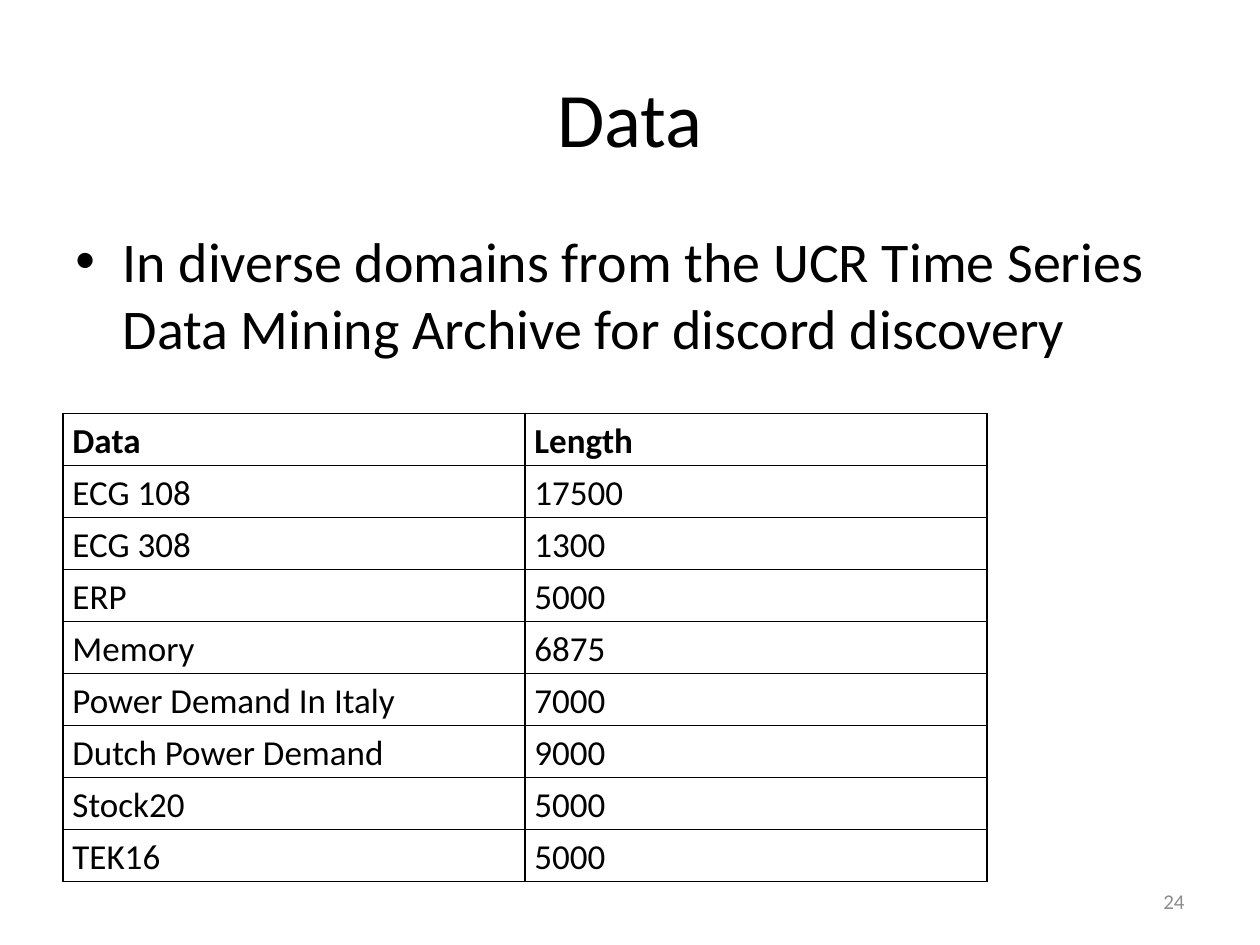
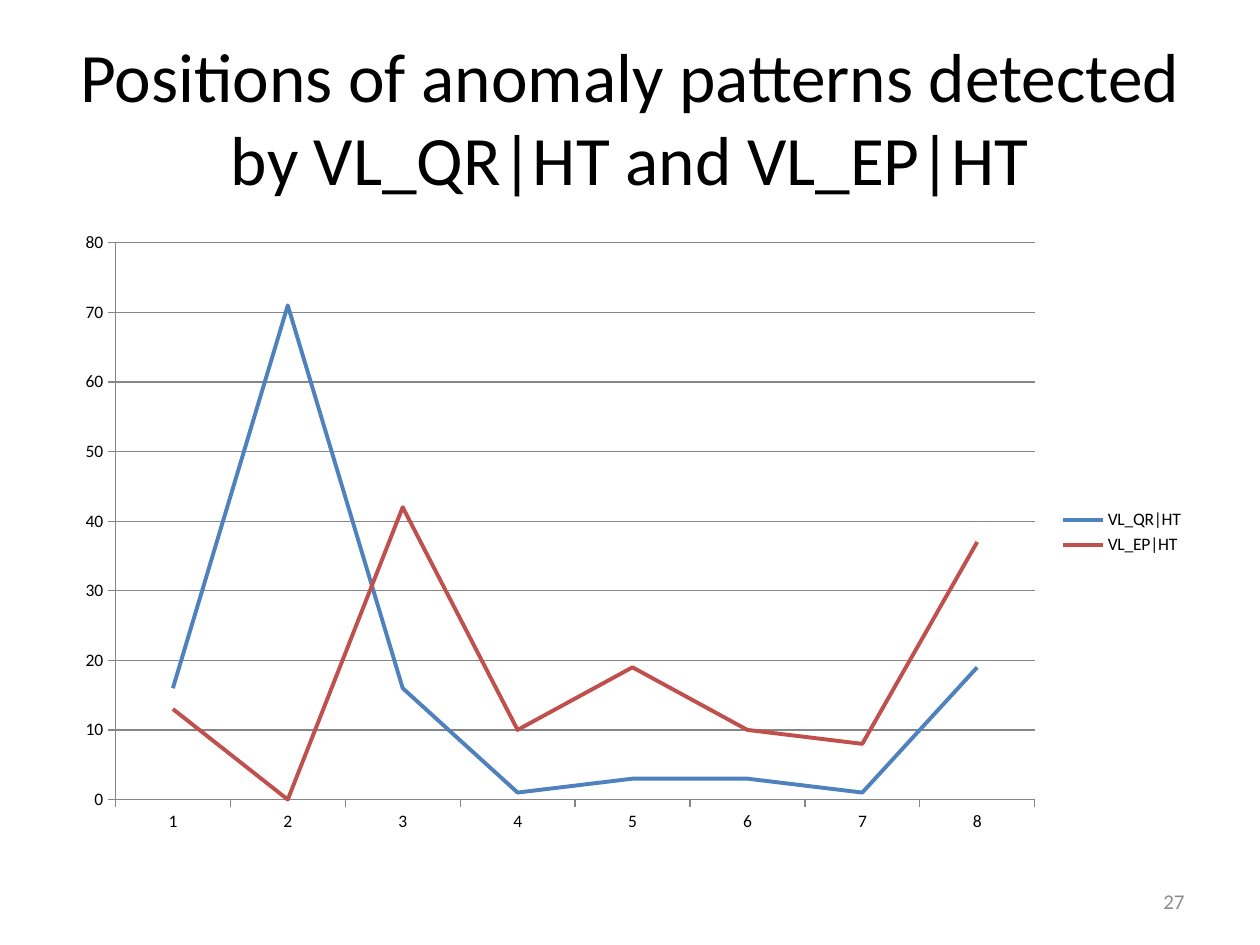
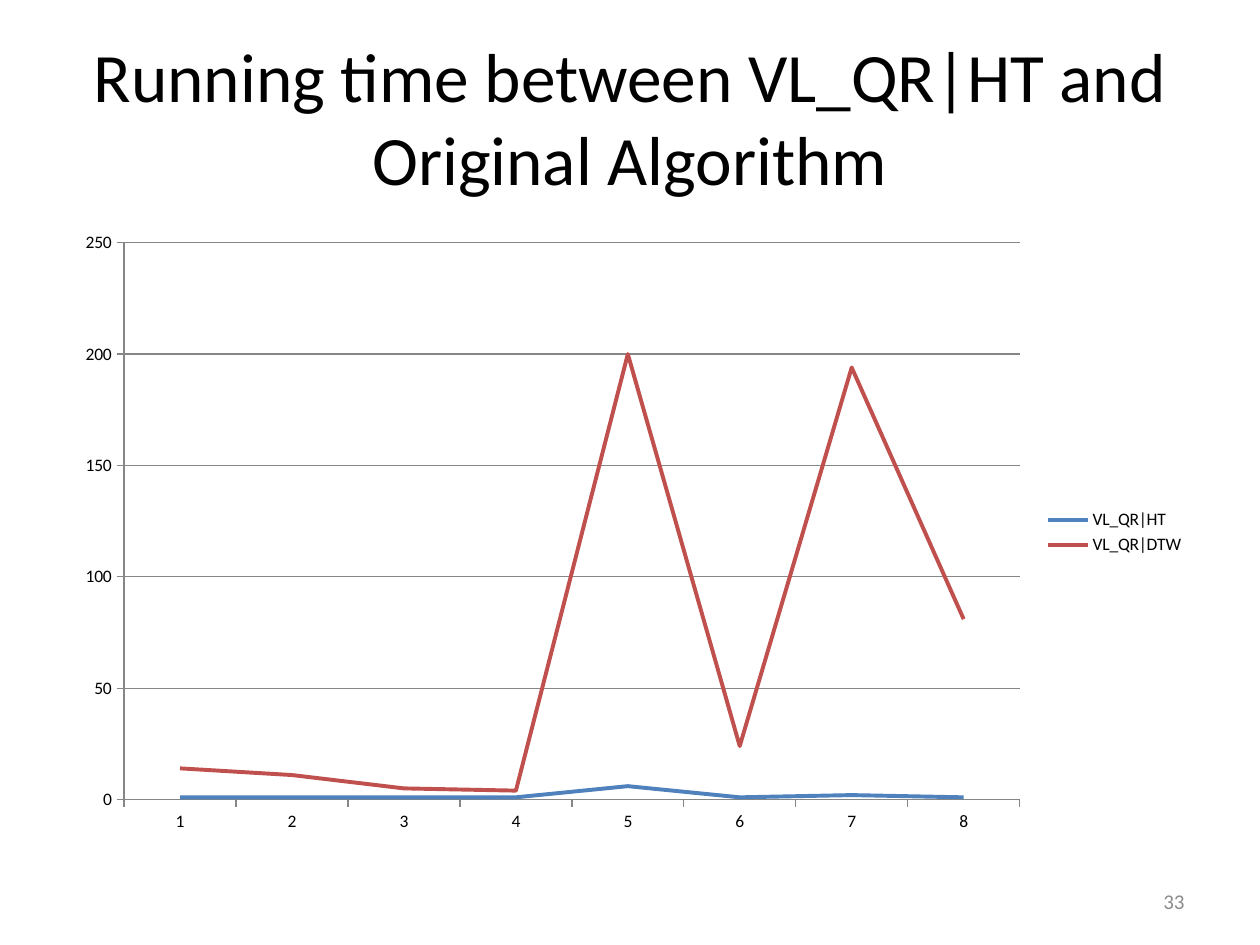
from lxml.etree import SubElement
from pptx import Presentation
from pptx.chart.data import CategoryChartData
from pptx.dml.color import RGBColor
from pptx.enum.chart import XL_CHART_TYPE, XL_LEGEND_POSITION, XL_TICK_MARK
from pptx.enum.text import MSO_ANCHOR, MSO_AUTO_SIZE, PP_ALIGN
from pptx.oxml import parse_xml
from pptx.oxml.ns import nsdecls, qn
from pptx.util import Pt

# Content
DATA_SLIDE = {
    "title": "Data",
    "number": 24,
    "bullet": "In diverse domains from the UCR Time Series Data Mining Archive for discord discovery",
    "rows": [
        ("Data", "Length"),
        ("ECG 108", "17500"),
        ("ECG 308", "1300"),
        ("ERP", "5000"),
        ("Memory", "6875"),
        ("Power Demand In Italy", "7000"),
        ("Dutch Power Demand", "9000"),
        ("Stock20", "5000"),
        ("TEK16", "5000"),
    ],
}
CHART_SLIDES = [
    {
        "title": "Positions of anomaly patterns detected by VL_QR|HT and VL_EP|HT",
        "number": 27,
        "series": {
            "VL_QR|HT": (16, 71, 16, 1, 3, 3, 1, 19),
            "VL_EP|HT": (13, 0, 42, 10, 19, 10, 8, 37),
        },
        "axis_max": 80,
        "axis_step": 10,
    },
    {
        "title": "Running time between VL_QR|HT and Original Algorithm",
        "number": 33,
        "series": {
            "VL_QR|HT": (1, 1, 1, 1, 6, 1, 2, 1),
            "VL_QR|DTW": (14, 11, 5, 4, 200, 24, 194, 81),
        },
        "axis_max": 250,
        "axis_step": 50,
    },
]
CATEGORIES = [str(number) for number in range(1, 9)]

# Shared style, lengths in points
FONT = "Calibri"
BLACK, GRAY, AXIS_GRAY = "000000", "8C8C8C", "868686"
SERIES_COLORS = ("4F81BD", "C0504D")
TITLE_BOX = (36, 21.6, 648, 90)
BODY_BOX = (36, 126, 648, 356.4)
NUMBER_BOX = (516, 500.5, 168, 28.75)
TABLE_LEFT, TABLE_TOP, COLUMN_WIDTH, ROW_HEIGHT = 36, 236.2, 264, 29.76
BULLET_INDENT = 27


def color(hex_string):
    return RGBColor.from_string(hex_string)


def box(values):
    return [Pt(value) for value in values]


def style_font(font, size, hex_string=BLACK, bold=False):
    font.name, font.size, font.bold = FONT, Pt(size), bold
    font.color.rgb = color(hex_string)


def write(paragraph, text, size, hex_string=BLACK, bold=False):
    run = paragraph.add_run()
    run.text = text
    style_font(run.font, size, hex_string, bold)


def add_text_box(slide, position, anchor):
    frame = slide.shapes.add_textbox(*box(position)).text_frame
    frame.word_wrap = True
    frame.vertical_anchor = anchor
    return frame.paragraphs[0]


def add_slide(presentation, title_text, title_size, number):
    slide = presentation.slides.add_slide(presentation.slide_layouts[5])
    title = slide.shapes.title
    title.left, title.top, title.width, title.height = box(TITLE_BOX)
    title.text_frame.auto_size = MSO_AUTO_SIZE.NONE
    title.text_frame.vertical_anchor = MSO_ANCHOR.MIDDLE
    paragraph = title.text_frame.paragraphs[0]
    paragraph.alignment = PP_ALIGN.CENTER
    write(paragraph, title_text, title_size)

    paragraph = add_text_box(slide, NUMBER_BOX, MSO_ANCHOR.MIDDLE)
    paragraph.alignment = PP_ALIGN.RIGHT
    write(paragraph, str(number), 12, GRAY)
    return slide


def add_bullet(slide, text):
    paragraph = add_text_box(slide, BODY_BOX, MSO_ANCHOR.TOP)
    paragraph.space_before = Pt(6.4)
    write(paragraph, text, 32)
    properties = paragraph._p.get_or_add_pPr()
    properties.set("marL", str(Pt(BULLET_INDENT)))
    properties.set("indent", str(-Pt(BULLET_INDENT)))
    SubElement(properties, qn("a:buFont"), typeface="Arial")
    SubElement(properties, qn("a:buChar"), char="•")


def add_borders(cell):
    properties = cell._tc.get_or_add_tcPr()
    for index, side in enumerate("LRTB"):
        properties.insert(index, parse_xml(
            f'<a:ln{side} {nsdecls("a")} w="{Pt(1)}"><a:solidFill>'
            f'<a:srgbClr val="{BLACK}"/></a:solidFill></a:ln{side}>'))


def add_data_table(slide, rows):
    column_count = len(rows[0])
    table = slide.shapes.add_table(
        len(rows), column_count, Pt(TABLE_LEFT), Pt(TABLE_TOP),
        Pt(COLUMN_WIDTH * column_count), Pt(ROW_HEIGHT * len(rows))).table
    table.first_row = table.horz_banding = False
    for row_index, row in enumerate(rows):
        table.rows[row_index].height = Pt(ROW_HEIGHT)
        for column_index, text in enumerate(row):
            cell = table.cell(row_index, column_index)
            cell.margin_left = cell.margin_right = Pt(5.4)
            cell.margin_top = cell.margin_bottom = 0
            cell.fill.background()
            add_borders(cell)
            paragraph = cell.text_frame.paragraphs[0]
            paragraph.line_spacing = 1.15
            write(paragraph, text, 20, bold=row_index == 0)


def add_line_chart(slide, content):
    data = CategoryChartData()
    data.categories = CATEGORIES
    for name, values in content["series"].items():
        data.add_series(name, values)
    chart = slide.shapes.add_chart(XL_CHART_TYPE.LINE, *box(BODY_BOX), data).chart
    style_font(chart.font, 10)
    chart.has_title = False
    chart.has_legend = True
    chart.legend.position = XL_LEGEND_POSITION.RIGHT
    chart.legend.include_in_layout = False
    chart.plots[0].vary_by_categories = False
    for series, hex_string in zip(chart.plots[0].series, SERIES_COLORS):
        series.smooth = False
        series.format.line.width = Pt(2.25)
        series.format.line.color.rgb = color(hex_string)

    value_axis = chart.value_axis
    value_axis.minimum_scale = 0
    value_axis.maximum_scale = content["axis_max"]
    value_axis.major_unit = content["axis_step"]
    value_axis.has_major_gridlines = True
    for part in (chart.category_axis, value_axis, value_axis.major_gridlines):
        part.format.line.width = Pt(0.75)
        part.format.line.color.rgb = color(AXIS_GRAY)
    for axis in (chart.category_axis, value_axis):
        axis.major_tick_mark = XL_TICK_MARK.OUTSIDE
        axis.minor_tick_mark = XL_TICK_MARK.NONE


def main():
    presentation = Presentation()
    presentation.slide_width, presentation.slide_height = Pt(720), Pt(540)

    # Data sets
    slide = add_slide(presentation, DATA_SLIDE["title"], 44, DATA_SLIDE["number"])
    add_bullet(slide, DATA_SLIDE["bullet"])
    add_data_table(slide, DATA_SLIDE["rows"])

    # Results
    for content in CHART_SLIDES:
        slide = add_slide(presentation, content["title"], 39.6, content["number"])
        add_line_chart(slide, content)

    presentation.save("out.pptx")


if __name__ == "__main__":
    main()
